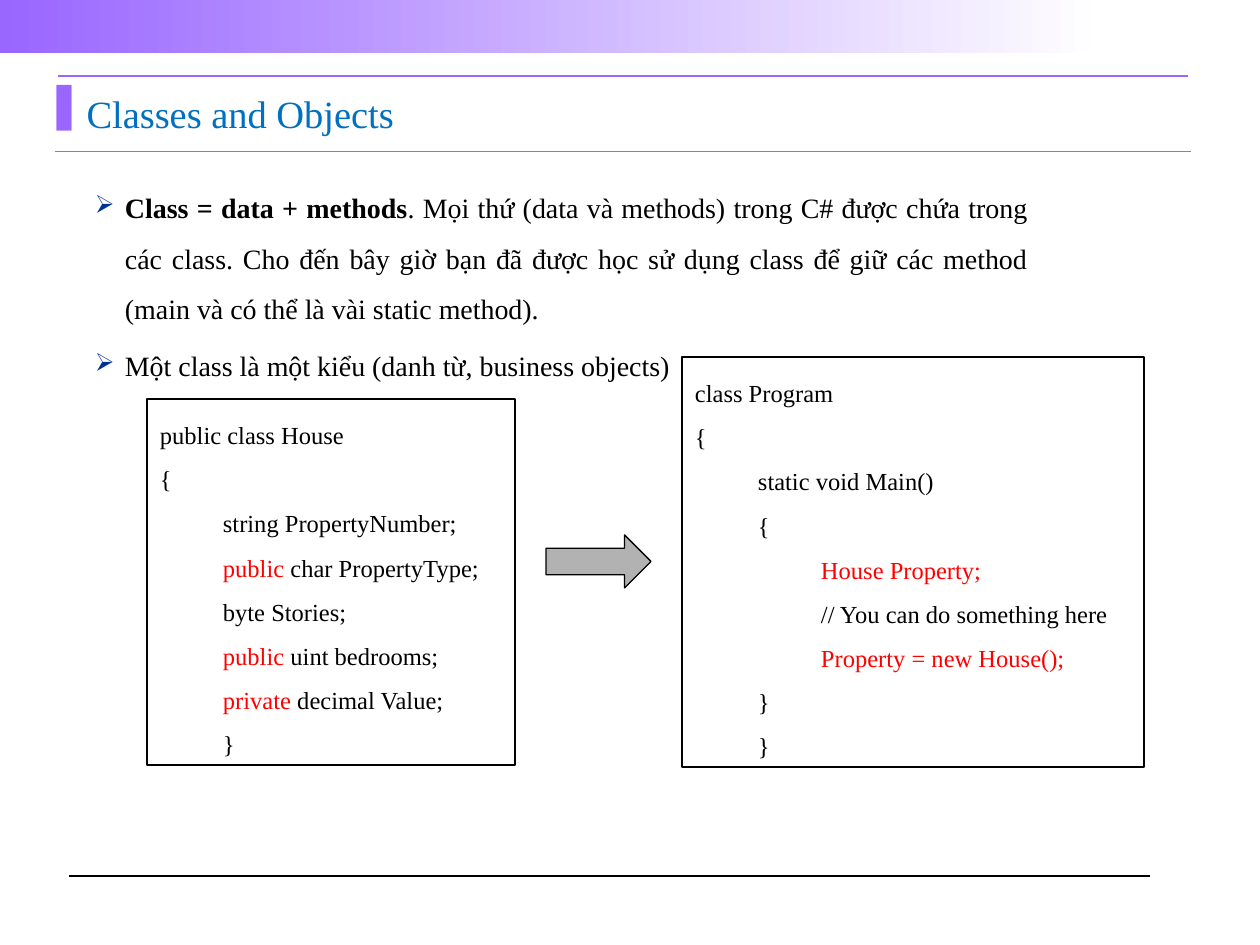
from lxml.etree import SubElement
from pptx import Presentation
from pptx.dml.color import RGBColor
from pptx.enum.shapes import MSO_CONNECTOR, MSO_SHAPE
from pptx.enum.text import MSO_ANCHOR, PP_ALIGN
from pptx.oxml.ns import qn
from pptx.util import Pt

PX = 914400 / 126
FONT = "Times New Roman"
PURPLE = RGBColor(0x99, 0x66, 0xFF)
TITLE_BLUE = RGBColor(0x00, 0x70, 0xC0)
BULLET_BLUE = RGBColor(0x00, 0x33, 0x99)
RED = RGBColor(0xFF, 0x00, 0x00)
GREY = RGBColor(0xB2, 0xB2, 0xB2)
BLACK = RGBColor(0x00, 0x00, 0x00)
WHITE = RGBColor(0xFF, 0xFF, 0xFF)

# Each code line: indent level, then (text, colour) runs
HOUSE_CODE = [
    (0, [("public class House", BLACK)]),
    (0, [("{", BLACK)]),
    (1, [("string PropertyNumber;", BLACK)]),
    (1, [("public", RED), (" char PropertyType;", BLACK)]),
    (1, [("byte Stories;", BLACK)]),
    (1, [("public", RED), (" uint bedrooms;", BLACK)]),
    (1, [("private", RED), (" decimal Value;", BLACK)]),
    (1, [("}", BLACK)]),
]
PROGRAM_CODE = [
    (0, [("class Program", BLACK)]),
    (0, [("{", BLACK)]),
    (1, [("static void Main()", BLACK)]),
    (1, [("{", BLACK)]),
    (2, [("House Property;", RED)]),
    (2, [("// You can do something here", BLACK)]),
    (2, [("Property = new House();", RED)]),
    (1, [("}", BLACK)]),
    (1, [("}", BLACK)]),
]
POINTS = [
    [("Class = data + methods", True),
     (". Mọi thứ (data và methods) trong C# được chứa trong các class. "
      "Cho đến bây giờ bạn đã được học sử dụng class để giữ các method "
      "(main và có thể là vài static method).", False)],
    [("Một class là một kiểu (danh từ, business objects)", False)],
]


def px(length):
    return round(length * PX)


def add_run(paragraph, text, size, color, bold=False):
    run = paragraph.add_run()
    run.text = text
    run.font.name = FONT
    run.font.size = Pt(size)
    run.font.bold = bold
    run.font.color.rgb = color


def set_bullet(paragraph, char, color, hang, percent=100):
    props = paragraph._p.get_or_add_pPr()
    props.set("marL", str(px(hang)))
    props.set("indent", str(-px(hang)))
    SubElement(SubElement(props, qn("a:buClr")), qn("a:srgbClr"), val=str(color))
    SubElement(props, qn("a:buSzPct"), val=str(percent * 1000))
    SubElement(props, qn("a:buChar"), char=char)


def set_frame(frame, anchor, side, end):
    frame.word_wrap = True
    frame.vertical_anchor = anchor
    frame.margin_left = frame.margin_right = px(side)
    frame.margin_top = frame.margin_bottom = px(end)


def paragraphs(frame, count):
    return [frame.paragraphs[0]] + [frame.add_paragraph() for _ in range(count - 1)]


def add_shape(slide, kind, box):
    shape = slide.shapes.add_shape(kind, *map(px, box))
    shape.shadow.inherit = False
    return shape


def outline(shape):
    shape.line.color.rgb = BLACK
    shape.line.width = Pt(0.75)


def add_rule(slide, left, right, y, color, width):
    rule = slide.shapes.add_connector(
        MSO_CONNECTOR.STRAIGHT, px(left), px(y), px(right), px(y))
    rule.line.color.rgb = color
    rule.line.width = Pt(width)
    SubElement(rule._element.spPr, qn("a:effectLst"))


def add_frame_lines(slide):
    # Fading band across the top
    band = add_shape(slide, MSO_SHAPE.RECTANGLE, (0, 0, 1104, 53))
    band.fill.gradient()
    band.fill.gradient_angle = 0
    for stop, color in zip(band.fill.gradient_stops, (PURPLE, WHITE)):
        stop.color.rgb = color
    band.line.fill.background()
    # Rules around the title and above the footer
    add_rule(slide, 55, 1191, 151, PURPLE, 0.5)
    add_rule(slide, 69, 1150, 876, BLACK, 0.75)
    add_rule(slide, 58, 1188, 76, PURPLE, 0.75)


def add_title(slide, box):
    frame = slide.shapes.add_textbox(*map(px, box)).text_frame
    set_frame(frame, MSO_ANCHOR.BOTTOM, 0, 0)
    title = frame.paragraphs[0]
    set_bullet(title, "▌", PURPLE, 24)
    add_run(title, "Classes and Objects", 22, TITLE_BLUE)


def add_points(slide, box):
    frame = slide.shapes.add_textbox(*map(px, box)).text_frame
    set_frame(frame, MSO_ANCHOR.TOP, 11, 6)
    for paragraph, runs in zip(paragraphs(frame, len(POINTS)), POINTS):
        paragraph.alignment = PP_ALIGN.JUSTIFY
        paragraph.line_spacing = 1.5
        paragraph.space_before = Pt(4)
        set_bullet(paragraph, "➢", BULLET_BLUE, 30, 90)
        for text, bold in runs:
            add_run(paragraph, text, 16, BLACK, bold)


def add_code(slide, box, code):
    panel = add_shape(slide, MSO_SHAPE.RECTANGLE, box)
    panel.fill.background()
    outline(panel)
    frame = panel.text_frame
    set_frame(frame, MSO_ANCHOR.MIDDLE, 13, 6)
    for paragraph, (level, runs) in zip(paragraphs(frame, len(code)), code):
        paragraph.alignment = PP_ALIGN.LEFT
        paragraph.line_spacing = 1.5
        paragraph._p.get_or_add_pPr().set("marL", str(px(63 * level)))
        for text, color in runs:
            add_run(paragraph, text, 14, color)


def add_arrow(slide, box):
    arrow = add_shape(slide, MSO_SHAPE.RIGHT_ARROW, box)
    arrow.fill.solid()
    arrow.fill.fore_color.rgb = GREY
    outline(arrow)


def main():
    deck = Presentation()
    deck.slide_width, deck.slide_height = px(1260), px(945)
    slide = deck.slides.add_slide(deck.slide_layouts[6])
    add_frame_lines(slide)
    add_title(slide, (57, 89, 1086, 47))
    add_points(slide, (84, 168, 955, 220))
    add_code(slide, (147, 399, 368, 366), HOUSE_CODE)
    add_code(slide, (682, 357, 462, 410), PROGRAM_CODE)
    add_arrow(slide, (546, 535, 105, 53))
    deck.save("out.pptx")


if __name__ == "__main__":
    main()
